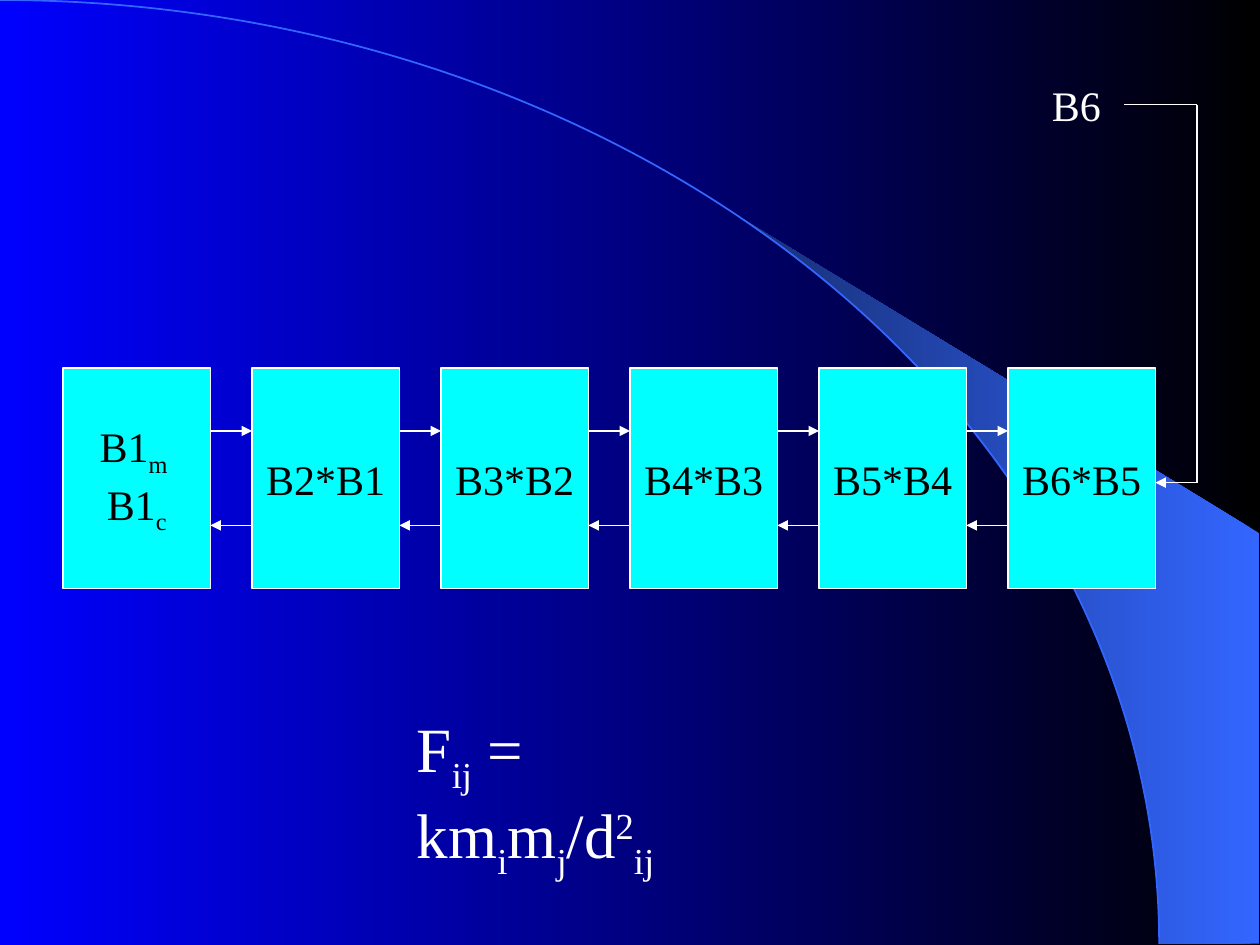
import math
from dataclasses import dataclass

import pptx
import pptx.dml.color
import pptx.enum.shapes
import pptx.enum.text
import pptx.oxml
import pptx.oxml.ns
import pptx.util
from pptx.util import Inches

RGB = pptx.dml.color.RGBColor.from_string
SHAPES = pptx.enum.shapes.MSO_SHAPE
TEXT = pptx.enum.text
SUB, SUPER = -25, 30


@dataclass(frozen=True)
class Theme:
    font: str = "Times New Roman"
    night: str = "000000"
    blue: str = "0000FF"
    glow: str = "3366FF"
    glow_dark: str = "172F75"
    block: str = "00FFFF"
    light: str = "FFFFFF"
    dark: str = "000000"
    label_size: int = 24
    formula_size: int = 36
    line_width: float = 0.75
    arc_width: float = 1


THEME = Theme()


def fill_gradient(fill, start, end):
    """Blend from start at the right to end at the left."""
    fill.gradient()
    fill.gradient_angle = 180
    for stop, color in zip(fill.gradient_stops, (start, end)):
        stop.color.rgb = RGB(color)


def write_line(paragraph, pieces, size, color):
    """Write (text, baseline percent) pieces as runs of one paragraph."""
    for text, baseline in pieces:
        run = paragraph.add_run()
        run.text = text
        run.font.name = THEME.font
        run.font.size = pptx.util.Pt(size)
        run.font.color.rgb = RGB(color)
        if baseline:
            run.font._element.set("baseline", str(baseline * 1000))


def draw_line(slide, start, end, arrow=False):
    line = slide.shapes.add_connector(
        pptx.enum.shapes.MSO_CONNECTOR.STRAIGHT,
        *(Inches(value) for value in (*start, *end)))
    line.line.color.rgb = RGB(THEME.light)
    line.line.width = pptx.util.Pt(THEME.line_width)
    properties = line._element.spPr
    if arrow:
        outline = properties.find(pptx.oxml.ns.qn("a:ln"))
        tip = pptx.oxml.parse_xml(
            f'<a:tailEnd {pptx.oxml.ns.nsdecls("a")} type="triangle"/>')
        outline.append(tip)
    properties.append(pptx.oxml.parse_xml(
        f'<a:effectLst {pptx.oxml.ns.nsdecls("a")}/>'))


def draw_backdrop(slide, radius_x, radius_y, right):
    """Horizon arc around the lower left corner, with a lit wedge beside it."""
    fill_gradient(slide.background.fill, THEME.night, THEME.blue)

    angles = [math.radians(50.2 * step / 24) for step in range(24, -1, -1)]
    horizon = [(radius_x * math.cos(a), radius_y * (1 - math.sin(a))) for a in angles]
    corners = [(right, radius_y), (right, 4.23)]
    outline = [(Inches(x), Inches(y)) for x, y in horizon + corners]
    builder = slide.shapes.build_freeform(*outline[0])
    builder.add_line_segments(outline[1:], close=True)
    wedge = builder.convert_to_shape()
    wedge.shadow.inherit = False
    fill_gradient(wedge.fill, THEME.glow, THEME.glow_dark)
    wedge.line.fill.background()

    arc = slide.shapes.add_shape(
        SHAPES.ARC, Inches(-radius_x), 0, Inches(2 * radius_x), Inches(2 * radius_y))
    arc.shadow.inherit = False
    arc.fill.background()
    arc.line.color.rgb = RGB(THEME.glow)
    arc.line.width = pptx.util.Pt(THEME.arc_width)


def draw_block(slide, left, top, width, height, lines):
    block = slide.shapes.add_shape(
        SHAPES.RECTANGLE, Inches(left), Inches(top), Inches(width), Inches(height))
    block.shadow.inherit = False
    block.fill.solid()
    block.fill.fore_color.rgb = RGB(THEME.block)
    block.line.color.rgb = RGB(THEME.light)
    block.line.width = pptx.util.Pt(THEME.line_width)
    frame = block.text_frame
    frame.word_wrap = False
    frame.vertical_anchor = TEXT.MSO_ANCHOR.MIDDLE
    for index, pieces in enumerate(lines):
        paragraph = frame.add_paragraph() if index else frame.paragraphs[0]
        paragraph.alignment = TEXT.PP_ALIGN.CENTER
        write_line(paragraph, pieces, THEME.label_size, THEME.dark)


def draw_chain(slide, left, top, width, height, pitch, contents):
    """Row of blocks, each exchanging arrows with the next one."""
    for index, lines in enumerate(contents):
        draw_block(slide, left + index * pitch, top, width, height, lines)
    for index in range(len(contents) - 1):
        near = left + index * pitch + width
        far = left + (index + 1) * pitch
        draw_line(slide, (near, top + 0.5), (far, top + 0.5), arrow=True)
        draw_line(slide, (far, top + 1.25), (near, top + 1.25), arrow=True)


def draw_feed(slide, left, top, right, bottom, block_edge):
    """Bracket that leads from the outer label back into the last block."""
    draw_line(slide, (left, top), (right, top))
    draw_line(slide, (right, top), (right, bottom))
    draw_line(slide, (right, bottom), (block_edge, bottom), arrow=True)


def draw_text(slide, left, top, width, height, pieces, size):
    box = slide.shapes.add_textbox(
        Inches(left), Inches(top), Inches(width), Inches(height))
    box.text_frame.word_wrap = False
    box.text_frame.auto_size = TEXT.MSO_AUTO_SIZE.SHAPE_TO_FIT_TEXT
    write_line(box.text_frame.paragraphs[0], pieces, size, THEME.light)


def main():
    deck = pptx.Presentation()
    deck.slide_width, deck.slide_height = Inches(10), Inches(7.5)
    slide = deck.slides.add_slide(deck.slide_layouts[6])

    draw_backdrop(slide, radius_x=9.2, radius_y=7.49, right=9.99)

    first = [[("B1", 0), ("m ", SUB)], [("B1", 0), ("c", SUB)]]
    products = [[[(f"B{n}*B{n - 1}", 0)]] for n in range(2, 7)]
    draw_chain(slide, 0.5, 2.92, 1.17, 1.75, 1.5, [first, *products])

    draw_feed(slide, 8.92, 0.83, 9.5, 3.83, block_edge=9.17)
    draw_text(slide, 8.25, 0.58, 0.59, 0.5, [("B6", 0)], THEME.label_size)

    formula = [("F", 0), ("ij", SUB), (" = km", 0), ("i", SUB), ("m", 0),
               ("j", SUB), ("/d", 0), ("2", SUPER), ("ij", SUB)]
    draw_text(slide, 3.21, 5.58, 3.05, 0.79, formula, THEME.formula_size)

    deck.save("out.pptx")


if __name__ == "__main__":
    main()
